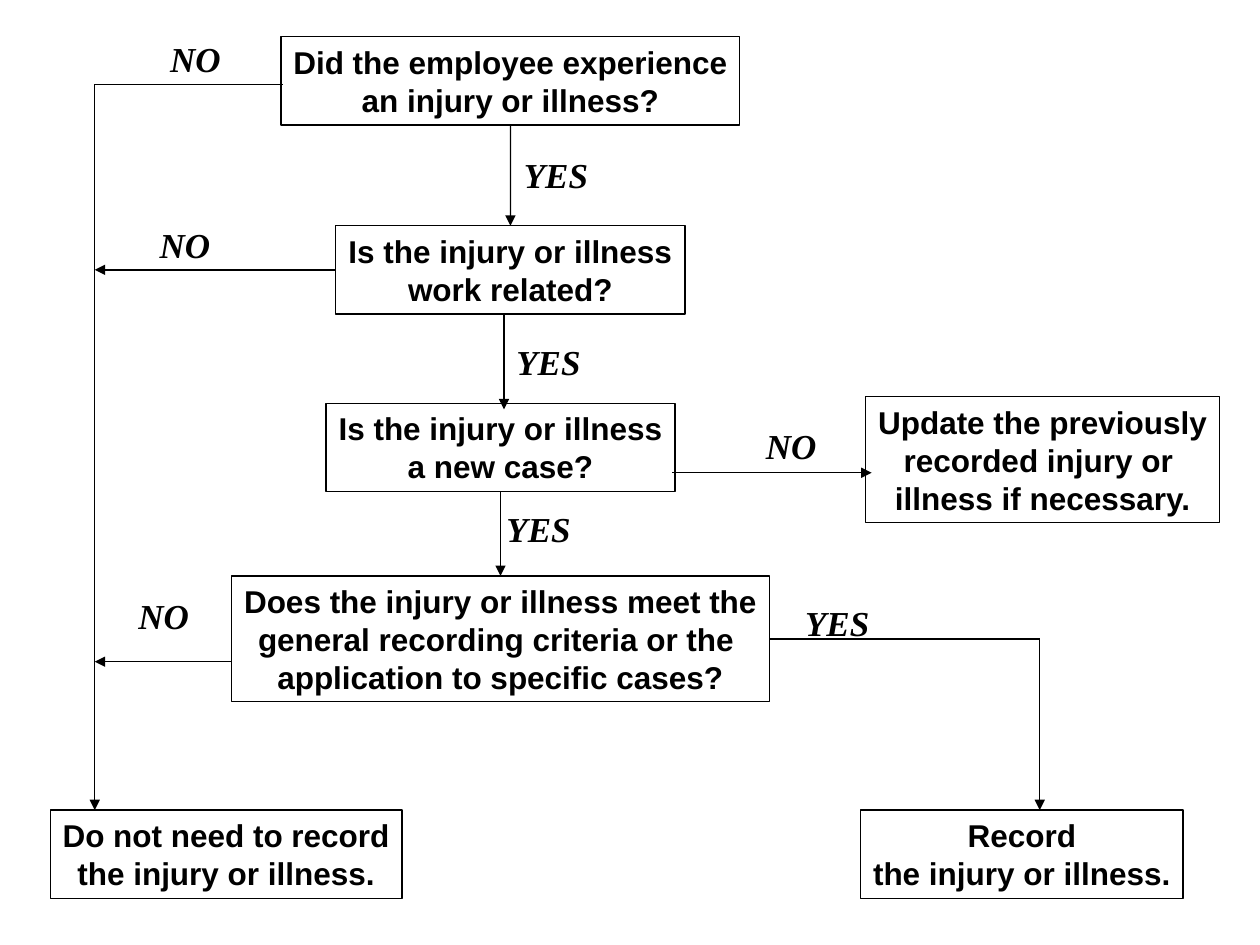
from lxml.etree import SubElement
from pptx import Presentation
from pptx.dml.color import RGBColor
from pptx.enum.shapes import MSO_CONNECTOR as Connector, MSO_SHAPE as Shape
from pptx.enum.text import MSO_ANCHOR as Anchor, MSO_AUTO_SIZE as AutoSize, PP_ALIGN as Align
from pptx.oxml.ns import qn
from pptx.util import Cm, Pt

BLACK = RGBColor(0, 0, 0)
BOX_FONT = "Arial"
LABEL_FONT = "Times New Roman"
TOP, LEFT, BOTTOM, RIGHT = range(4)
LINE_HEIGHT, BOX_PADDING = 0.76, 0.26


def add_text(tf, lines, font, size, align, side_margins, italic=None):
    tf.word_wrap = False
    tf.auto_size = AutoSize.NONE
    tf.vertical_anchor = Anchor.TOP
    tf.margin_left, tf.margin_right = map(Cm, side_margins)
    for i, line in enumerate(lines):
        p = tf.add_paragraph() if i else tf.paragraphs[0]
        p.alignment = align
        r = p.add_run()
        r.text = line
        r.font.name = font
        r.font.size = Pt(size)
        r.font.bold = True
        r.font.italic = italic
        r.font.color.rgb = BLACK


def add_box(s, center, top, width, *lines):
    """Add an outlined box around a horizontal center, as tall as its lines need."""
    height = LINE_HEIGHT * len(lines) + BOX_PADDING
    sp = s.shapes.add_shape(Shape.RECTANGLE, Cm(center - width / 2), Cm(top),
                            Cm(width), Cm(height))
    sp.shadow.inherit = False
    sp.fill.background()
    sp.line.color.rgb = BLACK
    sp.line.width = Pt(0.75)
    add_text(sp.text_frame, lines, BOX_FONT, 18, Align.CENTER, (0.1, 0.1))
    return sp


def add_label(s, text, left, top):
    width = 1.8 if text == "YES" else 1.52
    sp = s.shapes.add_textbox(Cm(left), Cm(top), Cm(width), Cm(1.12))
    add_text(sp.text_frame, [text], LABEL_FONT, 20, Align.LEFT, (0.25, 0),
             italic=True)


def add_line(s, start, end, arrow=True, begin=None, finish=None):
    """Add a line; begin and finish are optional (box, side) pairs to join."""
    line = s.shapes.add_connector(Connector.STRAIGHT, *map(Cm, start + end))
    line.line.color.rgb = BLACK
    line.line.width = Pt(0.75)
    if arrow:
        SubElement(line.line._get_or_add_ln(), qn("a:tailEnd"), type="triangle")
    SubElement(line._element.spPr, qn("a:effectLst"))
    if begin:
        line.begin_connect(*begin)
    if finish:
        line.end_connect(*finish)


def main():
    prs = Presentation()
    prs.slide_width, prs.slide_height = Cm(25.4), Cm(19.05)
    s = prs.slides.add_slide(prs.slide_layouts[6])

    upper_x, lower_x = 10.29, 10.09
    outcome_top = 16.33
    injury = add_box(s, upper_x, 0.74, 9.25,
                     "Did the employee experience", "an injury or illness?")
    work = add_box(s, upper_x, 4.55, 7.04,
                   "Is the injury or illness", "work related?")
    new_case = add_box(s, lower_x, 8.13, 7.04,
                       "Is the injury or illness", "a new case?")
    add_box(s, 21.02, 8, 7.14, "Update the previously",
            "recorded injury or ", "illness if necessary.")
    criteria = add_box(s, lower_x, 11.61, 10.85,
                       "Does the injury or illness meet the",
                       "general recording criteria or the ",
                       "application to specific cases?")
    add_box(s, 4.56, outcome_top, 7.09,
            "Do not need to record", "the injury or illness.")
    add_box(s, 20.6, outcome_top, 6.5, "Record", "the injury or illness.")

    no_x, record_x = 1.91, 20.96
    no_y, work_y, criteria_y = 1.7, 5.44, 12.88
    add_line(s, (no_x, no_y), (no_x, outcome_top))
    add_line(s, (5.7, no_y), (no_x, no_y), arrow=False)
    add_line(s, (6.77, work_y), (no_x, work_y), begin=(work, LEFT))
    add_line(s, (4.66, 13.34), (no_x, 13.34))
    add_line(s, (13.55, 9.53), (17.57, 9.53))

    add_line(s, (upper_x, 2.52), (upper_x, 4.55),
             begin=(injury, BOTTOM), finish=(work, TOP))
    add_line(s, (10.16, 6.35), (10.16, 8.25))
    add_line(s, (lower_x, 9.91), (lower_x, 11.61),
             begin=(new_case, BOTTOM), finish=(criteria, TOP))
    add_line(s, (15.5, criteria_y), (record_x, criteria_y), arrow=False,
             begin=(criteria, RIGHT))
    add_line(s, (record_x, criteria_y), (record_x, outcome_top))

    labels = {
        "NO": [(3.18, 0.64), (2.97, 4.39), (2.54, 11.86), (15.19, 8.43)],
        "YES": [(10.31, 2.97), (10.16, 6.73), (9.96, 10.11), (15.98, 12.01)],
    }
    for text, places in labels.items():
        for left, top in places:
            add_label(s, text, left, top)

    prs.save("out.pptx")


if __name__ == "__main__":
    main()
